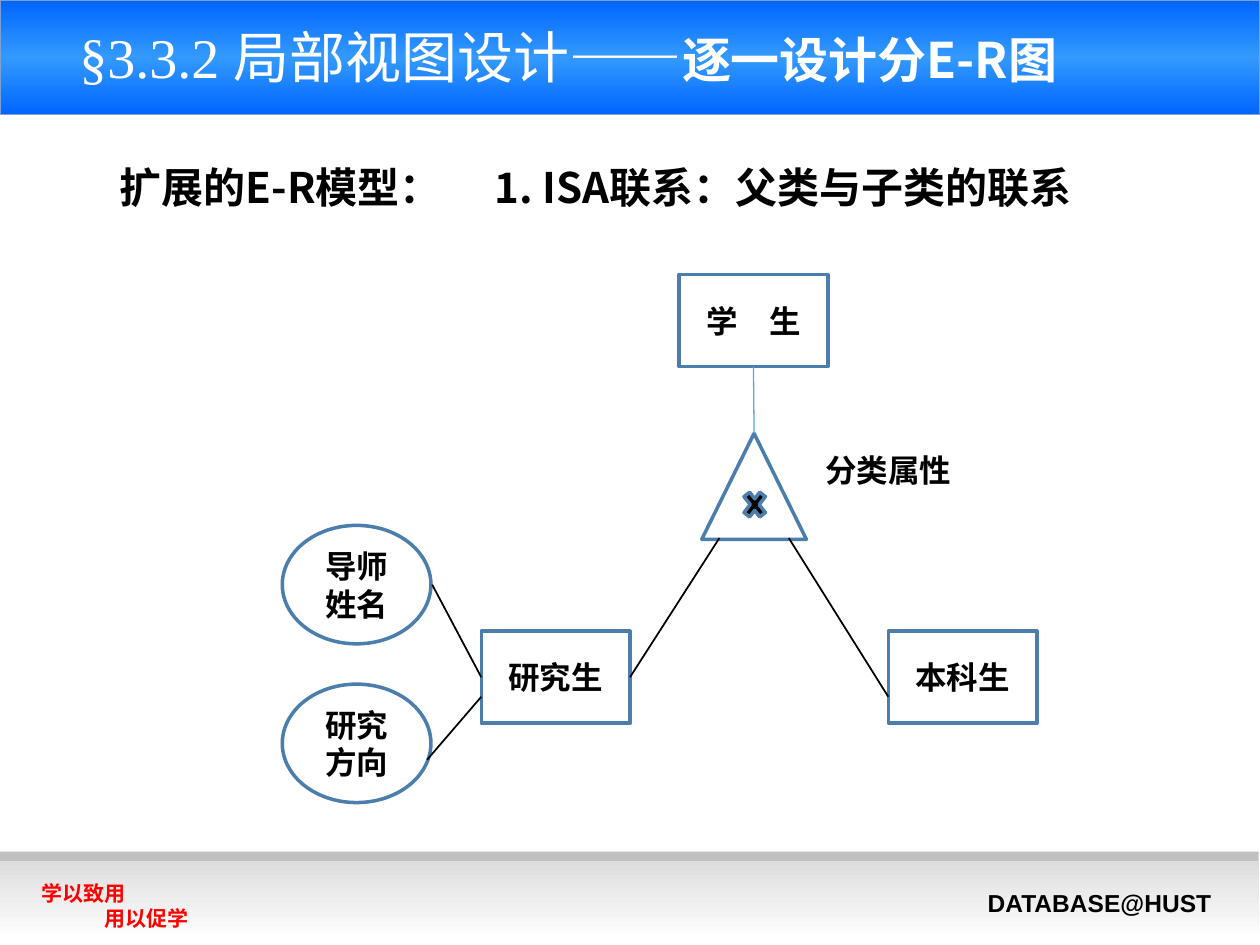
from dataclasses import dataclass

from lxml import etree
from pptx import Presentation
from pptx.dml.color import RGBColor
from pptx.enum.shapes import MSO_CONNECTOR, MSO_SHAPE
from pptx.enum.text import MSO_ANCHOR, PP_ALIGN
from pptx.oxml.ns import qn
from pptx.util import Inches, Pt


@dataclass(frozen=True)
class Theme:
    # Colours
    ink: str = "000000"
    paper: str = "FFFFFF"
    motto: str = "FF0000"
    outline: str = "4B7EAC"
    stem: str = "60A6E7"
    header_edge: str = "7DA0D3"
    header_stops: tuple = ((0, "0066FF"), (50, "3399FF"), (100, "0066FF"))
    footer_rule: str = "C0C0C0"
    footer_stops: tuple = ((0, "DDDDDD"), (100, "FFFFFF"))
    # Fonts and sizes
    latin: str = "Arial"
    cjk: str = "Noto Sans CJK SC"
    serif: str = "Times New Roman"
    title: int = 32
    subtitle: int = 28
    heading: int = 24
    label: int = 18
    mark: int = 14
    small: int = 12


THEME = Theme()


def set_font(font, name, size, color, bold=True):
    font.name = name
    font.size = Pt(size)
    font.bold = bold
    font.color.rgb = RGBColor.from_string(color)


def set_gradient(shape, stops):
    """Fill from top to bottom with (percent, colour) stops."""
    shape.fill.gradient()
    shape.fill.gradient_angle = 270
    stop_list = shape.fill._fill._gradFill.find(qn("a:gsLst"))
    for old_stop in list(stop_list):
        stop_list.remove(old_stop)
    for percent, color in stops:
        stop = etree.SubElement(stop_list, qn("a:gs"), pos=str(percent * 1000))
        etree.SubElement(stop, qn("a:srgbClr"), val=color)


def add_figure(slide, kind, box, fill=None, line=None, width=2):
    shape = slide.shapes.add_shape(kind, *map(Inches, box))
    shape.shadow.inherit = False
    if isinstance(fill, tuple):
        set_gradient(shape, fill)
    elif fill:
        shape.fill.solid()
        shape.fill.fore_color.rgb = RGBColor.from_string(fill)
    else:
        shape.fill.background()
    if line:
        shape.line.color.rgb = RGBColor.from_string(line)
        shape.line.width = Pt(width)
    else:
        shape.line.fill.background()
    return shape


def add_node(slide, kind, box, label, font=THEME.latin):
    node = add_figure(slide, kind, box, line=THEME.outline)
    node.text_frame.vertical_anchor = MSO_ANCHOR.MIDDLE
    paragraph = node.text_frame.paragraphs[0]
    paragraph.text = label
    paragraph.alignment = PP_ALIGN.CENTER
    set_font(paragraph.font, font, THEME.label, THEME.ink)
    return node


def add_text(slide, box, lines, font, size, color=THEME.ink, align=PP_ALIGN.CENTER):
    frame = slide.shapes.add_textbox(*map(Inches, box)).text_frame
    frame.word_wrap = True
    frame.text = "\n".join(lines)
    for paragraph in frame.paragraphs:
        paragraph.alignment = align
        set_font(paragraph.font, font, size, color)


def add_link(slide, start, end, color=THEME.ink, width=1):
    link = slide.shapes.add_connector(
        MSO_CONNECTOR.STRAIGHT, *map(Inches, (*start, *end)))
    link.line.color.rgb = RGBColor.from_string(color)
    link.line.width = Pt(width)
    etree.SubElement(link._element.spPr, qn("a:effectLst"))
    return link


def add_frame(slide):
    # Header band
    add_figure(slide, MSO_SHAPE.RECTANGLE, (0, 0, 10, 0.91),
               THEME.header_stops, THEME.header_edge, 0.75)
    # Footer bands
    add_figure(slide, MSO_SHAPE.RECTANGLE, (-0.01, 6.76, 10, 0.29), THEME.footer_rule)
    add_figure(slide, MSO_SHAPE.RECTANGLE, (-0.01, 6.83, 10, 0.63), THEME.footer_stops)
    # Motto and course mark
    add_text(slide, (0.23, 6.94, 2, 0.5), ("学以致用", "\t用以促学"),
             THEME.latin, THEME.small, THEME.motto, PP_ALIGN.LEFT)
    add_text(slide, (7.74, 7, 2.09, 0.34), ("DATABASE@HUST",),
             THEME.latin, THEME.mark, align=PP_ALIGN.LEFT)


def add_title(slide):
    frame = slide.shapes.add_textbox(
        Inches(0), Inches(0.13), Inches(9.02), Inches(0.79)).text_frame
    frame.word_wrap = True
    paragraph = frame.paragraphs[0]
    paragraph.alignment = PP_ALIGN.CENTER
    for words, font, size, bold in (
        ("§3.3.2 ", THEME.serif, THEME.title, False),
        ("局部视图设计——", THEME.latin, THEME.title, False),
        ("逐一设计分E-R图", THEME.cjk, THEME.subtitle, True),
    ):
        run = paragraph.add_run()
        run.text = words
        set_font(run.font, font, size, THEME.paper, bold)


def add_diagram(slide):
    # Entities
    entity_size = (1.18, 0.73)
    student, graduate, undergraduate = (
        add_node(slide, MSO_SHAPE.RECTANGLE, (left, top, *entity_size), label)
        for left, top, label in (
            (5.39, 2.18, "学　生"), (3.82, 5.01, "研究生"), (7.05, 5.01, "本科生"))
    )

    # Attributes of the graduate
    for top, label in ((4.17, "导师姓名"), (5.43, "研究方向")):
        add_node(slide, MSO_SHAPE.OVAL, (2.24, top, 1.18, 0.94), label, THEME.cjk)

    # ISA triangle with its classifying attribute
    isa = add_figure(slide, MSO_SHAPE.ISOSCELES_TRIANGLE,
                     (5.57, 3.44, 0.83, 0.84), line=THEME.outline)
    add_figure(slide, MSO_SHAPE.MATH_MULTIPLY, (5.87, 3.85, 0.24, 0.31),
               THEME.ink, THEME.outline)
    add_text(slide, (6.34, 3.53, 1.42, 0.4), ("分类属性",), THEME.cjk, THEME.label)

    # Links
    student_isa = add_link(slide, (5.98, 2.91), (5.98, 3.44), THEME.stem, 0.75)
    student_isa.begin_connect(student, 2)
    student_isa.end_connect(isa, 0)
    isa_graduate = add_link(slide, (5.71, 4.27), (5, 5.38))
    isa_graduate.end_connect(graduate, 3)
    add_link(slide, (6.26, 4.27), (7.05, 5.53))
    graduate_tutor = add_link(slide, (3.82, 5.38), (3.43, 4.64))
    graduate_tutor.begin_connect(graduate, 1)
    add_link(slide, (3.82, 5.53), (3.39, 6.03))


def main():
    deck = Presentation()
    deck.slide_width, deck.slide_height = Inches(10), Inches(7.5)
    slide = deck.slides.add_slide(deck.slide_layouts[6])

    add_frame(slide)
    add_title(slide)
    # Headings
    add_text(slide, (0.83, 1.23, 2.8, 0.5), ("扩展的E-R模型：",),
             THEME.cjk, THEME.heading)
    add_text(slide, (3.46, 1.23, 5.51, 0.5), ("1. ISA联系：父类与子类的联系",),
             THEME.cjk, THEME.heading)
    add_diagram(slide)

    deck.save("out.pptx")


if __name__ == "__main__":
    main()
